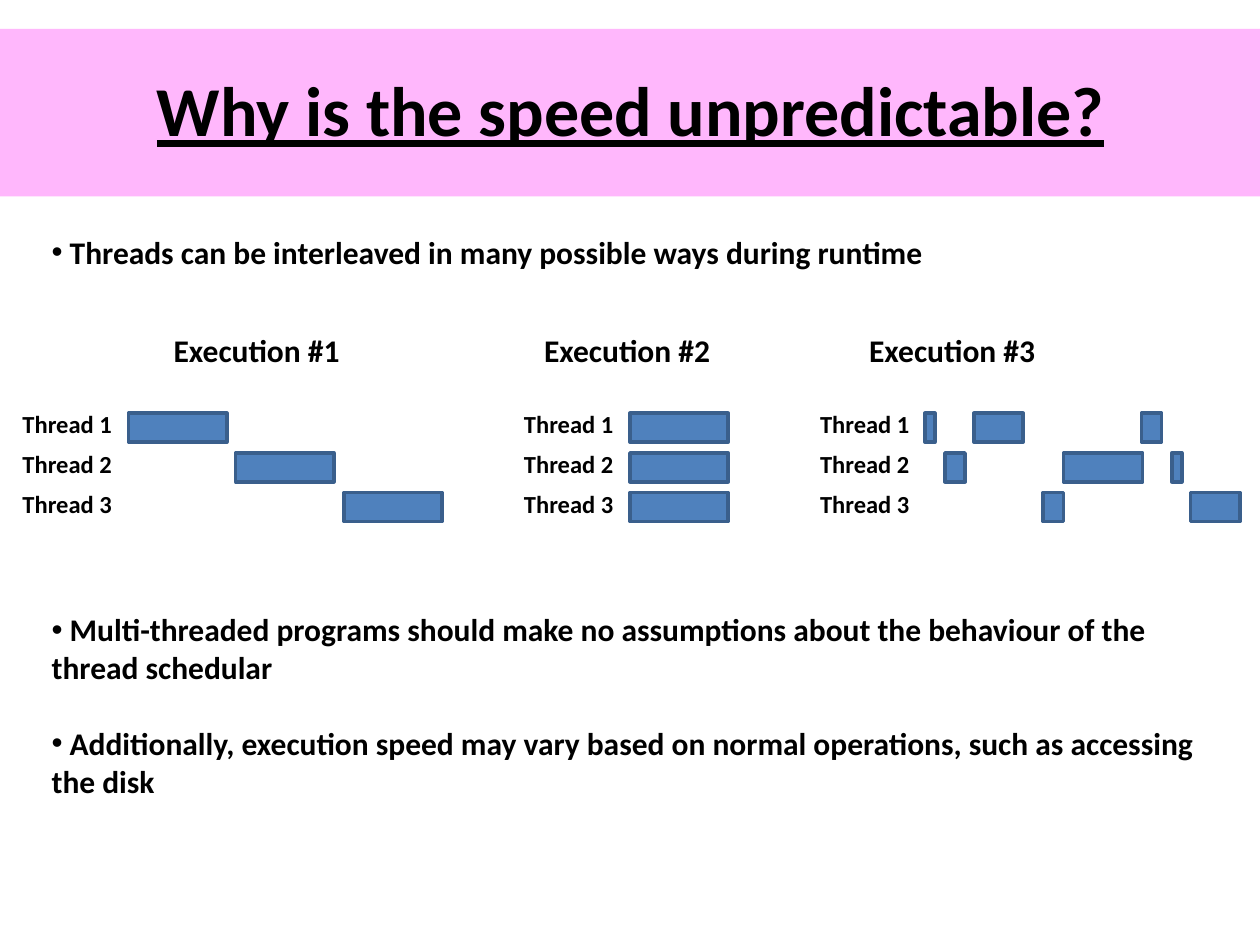
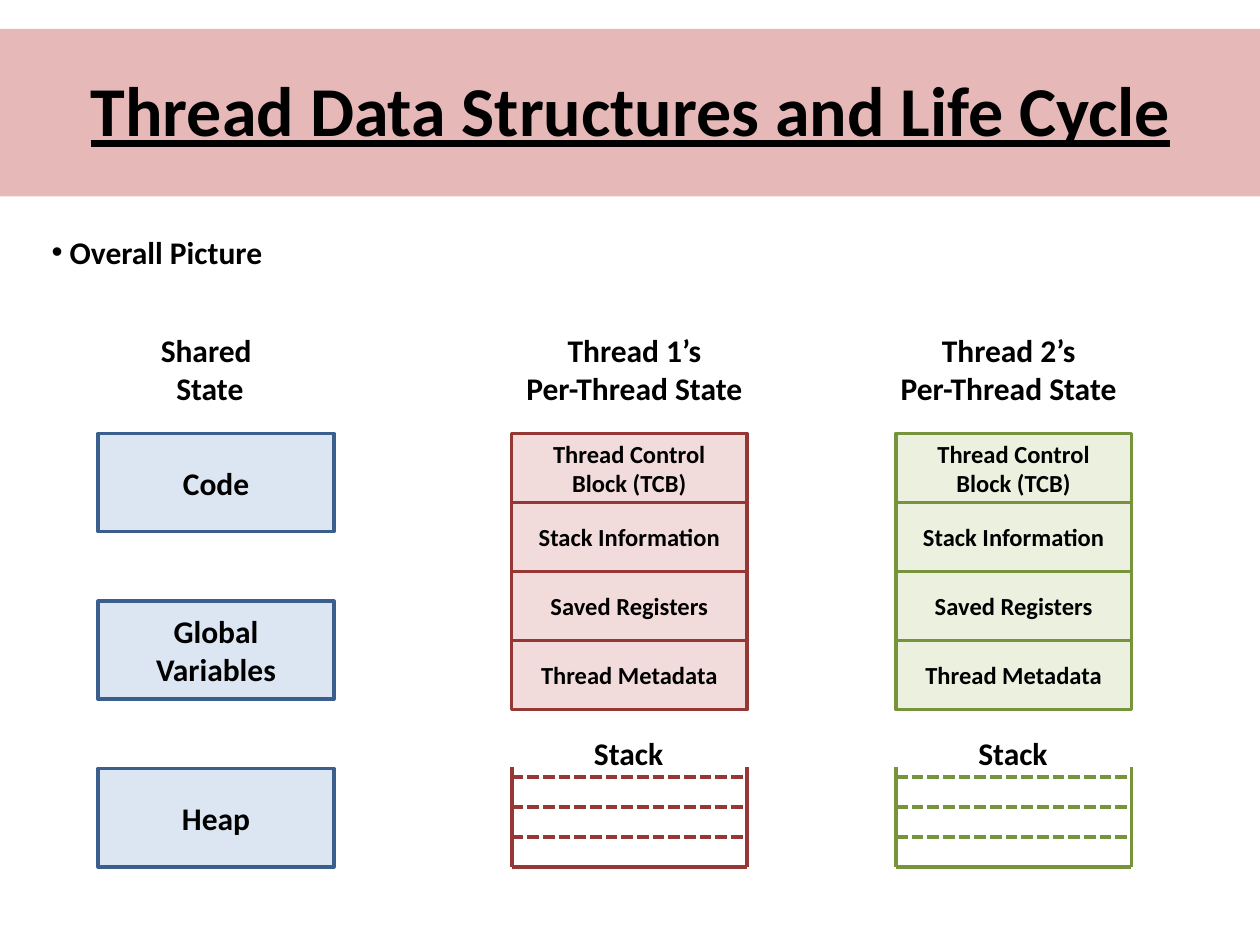
"""Build two slides on thread timing and thread state."""
from dataclasses import dataclass

from lxml.etree import SubElement
from pptx import Presentation
from pptx.dml.color import RGBColor as Rgb
from pptx.enum.dml import MSO_LINE as Dash
from pptx.enum.shapes import MSO_CONNECTOR as Link, MSO_SHAPE as Form
from pptx.enum.text import MSO_ANCHOR as Anchor, MSO_AUTO_SIZE as Fit, PP_ALIGN as Align
from pptx.oxml.ns import qn
from pptx.util import Inches, Pt


@dataclass(frozen=True)
class Theme:
    """Colours as fill and line pairs, and type sizes in points."""
    font: str = "Calibri"
    ink: str = "000000"
    pink: str = "FFB7FC"
    rose: str = "E6B9B8"
    bar: tuple = ("4F81BD", "3A5F8C")
    blue: tuple = ("DCE6F2", "3A5F8C")
    red: tuple = ("F2DCDB", "953735")
    green: tuple = ("EBF1DE", "77933C")
    title: int = 40
    text: int = 18
    small: int = 14
    edge: float = 2
    rule: float = 2.25


LOOK = Theme()
WIDE = 1.87
PARTS = ("Thread Control Block (TCB)", "Stack Information",
         "Saved Registers", "Thread Metadata")
RUNS = (
    (1.28, 0.08, (((1.02, 0.78),), ((1.87, 0.78),), ((2.73, 0.78),))),
    (4.22, 4.06, (((5, 0.78),),) * 3),
    (6.8, 6.41, (((7.34, 0.08), (7.73, 0.39), (9.06, 0.16)),
                 ((7.5, 0.16), (8.44, 0.63), (9.3, 0.08)),
                 ((8.28, 0.16), (9.45, 0.39)))),
)


def apply(item, **form):
    """Set each format value on the item."""
    for name, value in form.items():
        setattr(item, name, value)


def box(*sides):
    """Turn side lengths into inches."""
    return [Inches(side) for side in sides]


def write(frame, text, size, align=Align.LEFT, line=False):
    """Fill a text frame with bold text."""
    frame.text = text
    for para in frame.paragraphs:
        para.alignment = align
        for run in para.runs:
            apply(run.font, name=LOOK.font, size=Pt(size), bold=True, underline=line)
            run.font.color.rgb = Rgb.from_string(LOOK.ink)


def place(item, *sides):
    """Move a placeholder to the given sides."""
    apply(item, **dict(zip(("left", "top", "width", "height"), box(*sides))))
    apply(item.text_frame, word_wrap=True, auto_size=Fit.NONE)


def label(slide, text, sides, size=LOOK.text, align=Align.LEFT):
    """Add a label that does not wrap."""
    frame = slide.shapes.add_textbox(*box(*sides)).text_frame
    frame.word_wrap = False
    write(frame, text, size, align)


def block(slide, sides, fill, edge=None, text="", size=LOOK.text):
    """Add a flat rectangle, with centred text if given."""
    shape = slide.shapes.add_shape(Form.RECTANGLE, *box(*sides))
    shape.shadow.inherit = False
    shape.fill.solid()
    shape.fill.fore_color.rgb = Rgb.from_string(fill)
    if edge:
        shape.line.color.rgb = Rgb.from_string(edge)
        shape.line.width = Pt(LOOK.edge)
    else:
        shape.line.fill.background()
    if text:
        apply(shape.text_frame, word_wrap=True, vertical_anchor=Anchor.MIDDLE)
        write(shape.text_frame, text, size, Align.CENTER)
    return shape


def rule(slide, ends, tint, dash=None):
    """Add a straight line."""
    link = slide.shapes.add_connector(Link.STRAIGHT, *box(*ends))
    link.line.color.rgb = Rgb.from_string(tint)
    apply(link.line, width=Pt(LOOK.rule), dash_style=dash)
    SubElement(link.element.spPr, qn("a:effectLst"))


def start(deck, title, tint, points, tall, gaps=(0,)):
    """Add a slide with its title band and bullet list."""
    slide = deck.slides.add_slide(deck.slide_layouts[1])
    head, body = slide.placeholders
    place(head, 0.12, 0.39, 9.77, 0.94)
    head.text_frame.vertical_anchor = Anchor.MIDDLE
    write(head.text_frame, title, LOOK.title, Align.CENTER, True)
    head.element.addprevious(block(slide, (0, 0.23, 10, 1.33), tint).element)
    place(body, 0.31, 1.8, 9.38, tall)
    write(body.text_frame, "\n".join(points), LOOK.text)
    for para, gap in zip(body.text_frame.paragraphs, gaps):
        para.space_before = Pt(gap)
        form = para._p.get_or_add_pPr()
        for name in ("marL", "indent"):
            form.set(name, "0")
    return slide


def chart(slide, count, head, left, rows):
    """Draw one run of the three threads as rows of bars."""
    label(slide, f"Execution #{count}", (head, 2.58, 1.53, 0.4))
    for row, bars in enumerate(rows):
        drop = row * 0.63 / 2
        label(slide, f"Thread {row + 1}", (left, 3.2 + drop, 0.92, 0.34), LOOK.small)
        for start_x, width in bars:
            block(slide, (start_x, 3.28 + drop, width, 0.23), *LOOK.bar)


def stack(slide, left, tint):
    """Draw an open tray with dashed levels."""
    right, top, base = left + WIDE, 6.09, 6.88
    label(slide, "Stack", (left + 0.55, 5.78, 0.76, 0.4), align=Align.CENTER)
    for side in (left, right):
        rule(slide, (side, top, side, base), tint)
    for step in range(4):
        level = base - step * 0.71 / 3
        rule(slide, (left, level, right, level), tint, Dash.SQUARE_DOT if step else None)


def thread(slide, count, head, left, tints):
    """Draw the state that one thread keeps."""
    label(slide, f"Thread {count}’s\nPer-Thread State", (head, 2.58, 1.95, 0.71),
          align=Align.CENTER)
    tall = 2.19 / len(PARTS)
    for row, part in enumerate(PARTS):
        block(slide, (left, 3.44 + row * tall, WIDE, tall), *tints, part, LOOK.small)
    stack(slide, left, tints[1])


def speed(deck):
    """Build the slide on speed."""
    points = (
        " Threads can be interleaved in many possible ways during runtime",
        " Multi-threaded programs should make no assumptions about the behaviour"
        " of the thread schedular",
        " Additionally, execution speed may vary based on normal operations,"
        " such as accessing the disk",
    )
    slide = start(deck, "Why is the speed unpredictable?", LOOK.pink, points,
                  5.55, (0, 194, 21.6))
    for count, run in enumerate(RUNS, 1):
        chart(slide, count, *run)


def state(deck):
    """Build the slide on shared and per-thread state."""
    slide = start(deck, "Thread Data Structures and Life Cycle", LOOK.rose,
                  (" Overall Picture",), 1.62)
    label(slide, "Shared \nState", (1.17, 2.58, 0.99, 0.71), align=Align.CENTER)
    for row, name in enumerate(("Code", "Global Variables", "Heap")):
        block(slide, (0.78, 3.44 + row * 1.33, WIDE, 0.78), *LOOK.blue, name)
    thread(slide, 1, 4.06, 4.06, LOOK.red)
    thread(slide, 2, 7.03, 7.11, LOOK.green)


def main():
    """Build and save the deck."""
    deck = Presentation()
    apply(deck, slide_width=Inches(10), slide_height=Inches(7.5))
    speed(deck)
    state(deck)
    deck.save("out.pptx")


if __name__ == "__main__":
    main()
